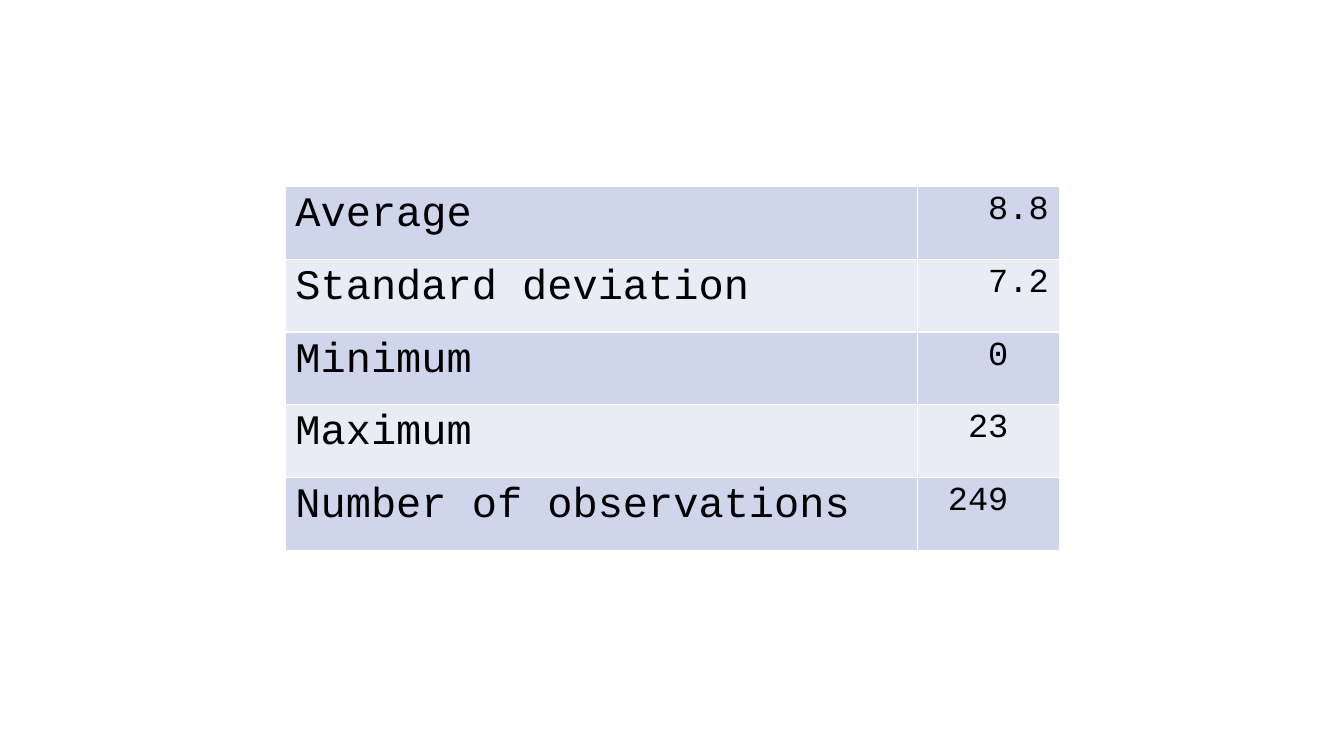
from dataclasses import dataclass

from lxml import etree
from pptx import Presentation
from pptx.dml.color import RGBColor
from pptx.enum.text import PP_ALIGN
from pptx.oxml.ns import qn
from pptx.slide import Slide
from pptx.table import _Cell
from pptx.util import Emu, Inches, Pt

LEFT_ALIGNED = PP_ALIGN.LEFT
RIGHT_ALIGNED = PP_ALIGN.RIGHT

SLIDE_WIDTH = Inches(13.33)
SLIDE_HEIGHT = Inches(7.5)
FONT_NAME = "Courier New"
LABEL_SIZE = 30
VALUE_SIZE = 24
CHARACTER_WIDTH = Pt(VALUE_SIZE * 0.6)
VALUE_MARGIN = Inches(0.11)
BORDER_WIDTH = Pt(1)
BORDER_SIDES = ("lnL", "lnR", "lnT", "lnB")
COLORS = {
    "text": "000000",
    "border": "FFFFFF",
    "odd_row": "CFD5EA",
    "even_row": "E9EBF5",
}


@dataclass(frozen=True)
class Statistic:
    label: str
    value: str


STATISTICS = (
    Statistic("Average", "8.8"),
    Statistic("Standard deviation", "7.2"),
    Statistic("Minimum", "0"),
    Statistic("Maximum", "23"),
    Statistic("Number of observations", "249"),
)


def across(percent: float) -> Emu:
    """Return a percentage of the slide width."""
    return Emu(round(SLIDE_WIDTH * percent / 100))


def down(percent: float) -> Emu:
    """Return a percentage of the slide height."""
    return Emu(round(SLIDE_HEIGHT * percent / 100))


def add_borders(cell: _Cell) -> None:
    """Draw a thin line on every side of the cell."""
    properties = cell._tc.get_or_add_tcPr()
    for side in BORDER_SIDES:
        line = etree.SubElement(properties, qn(f"a:{side}"), w=str(BORDER_WIDTH))
        fill = etree.SubElement(line, qn("a:solidFill"))
        etree.SubElement(fill, qn("a:srgbClr"), val=COLORS["border"])


def fill_cell(cell: _Cell, text: str, size: int, alignment: PP_ALIGN, color: str) -> None:
    """Write and style one table cell."""
    add_borders(cell)
    cell.fill.solid()
    cell.fill.fore_color.rgb = RGBColor.from_string(color)
    cell.text = text
    paragraph = cell.text_frame.paragraphs[0]
    paragraph.alignment = alignment
    paragraph.font.name = FONT_NAME
    paragraph.font.size = Pt(size)
    paragraph.font.bold = False
    paragraph.font.color.rgb = RGBColor.from_string(COLORS["text"])


def add_statistics_table(slide: Slide, statistics: tuple[Statistic, ...]) -> None:
    """Add the table with values aligned on their units digit."""
    column_widths = (across(47.04), across(10.58))
    row_height = down(9.63)
    table = slide.shapes.add_table(
        len(statistics), len(column_widths), across(21.23), down(24.67),
        sum(column_widths), row_height * len(statistics),
    ).table
    table.first_row = False
    table.horz_banding = False
    for column, width in zip(table.columns, column_widths):
        column.width = width
    for index, (row, statistic) in enumerate(zip(table.rows, statistics)):
        row.height = row_height
        color = COLORS["even_row" if index % 2 else "odd_row"]
        label_cell, value_cell = row.cells
        fill_cell(label_cell, statistic.label, LABEL_SIZE, LEFT_ALIGNED, color)
        fill_cell(value_cell, statistic.value, VALUE_SIZE, RIGHT_ALIGNED, color)
        missing_characters = 0 if "." in statistic.value else 2
        value_cell.margin_right = VALUE_MARGIN + missing_characters * CHARACTER_WIDTH


def main() -> None:
    """Build and save the presentation."""
    presentation = Presentation()
    presentation.slide_width = SLIDE_WIDTH
    presentation.slide_height = SLIDE_HEIGHT
    slide = presentation.slides.add_slide(presentation.slide_layouts[6])
    add_statistics_table(slide, STATISTICS)
    presentation.save("out.pptx")


if __name__ == "__main__":
    main()
